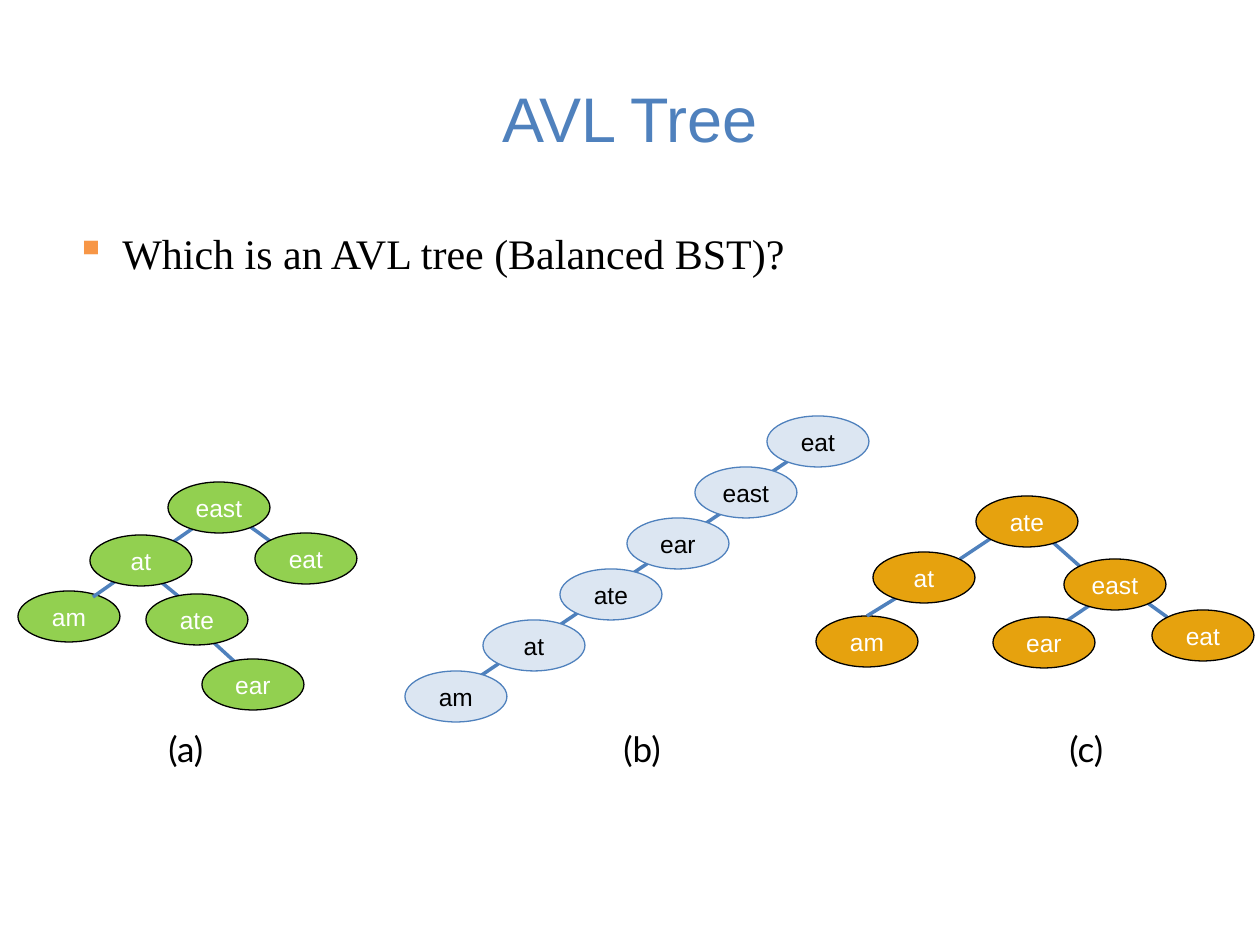
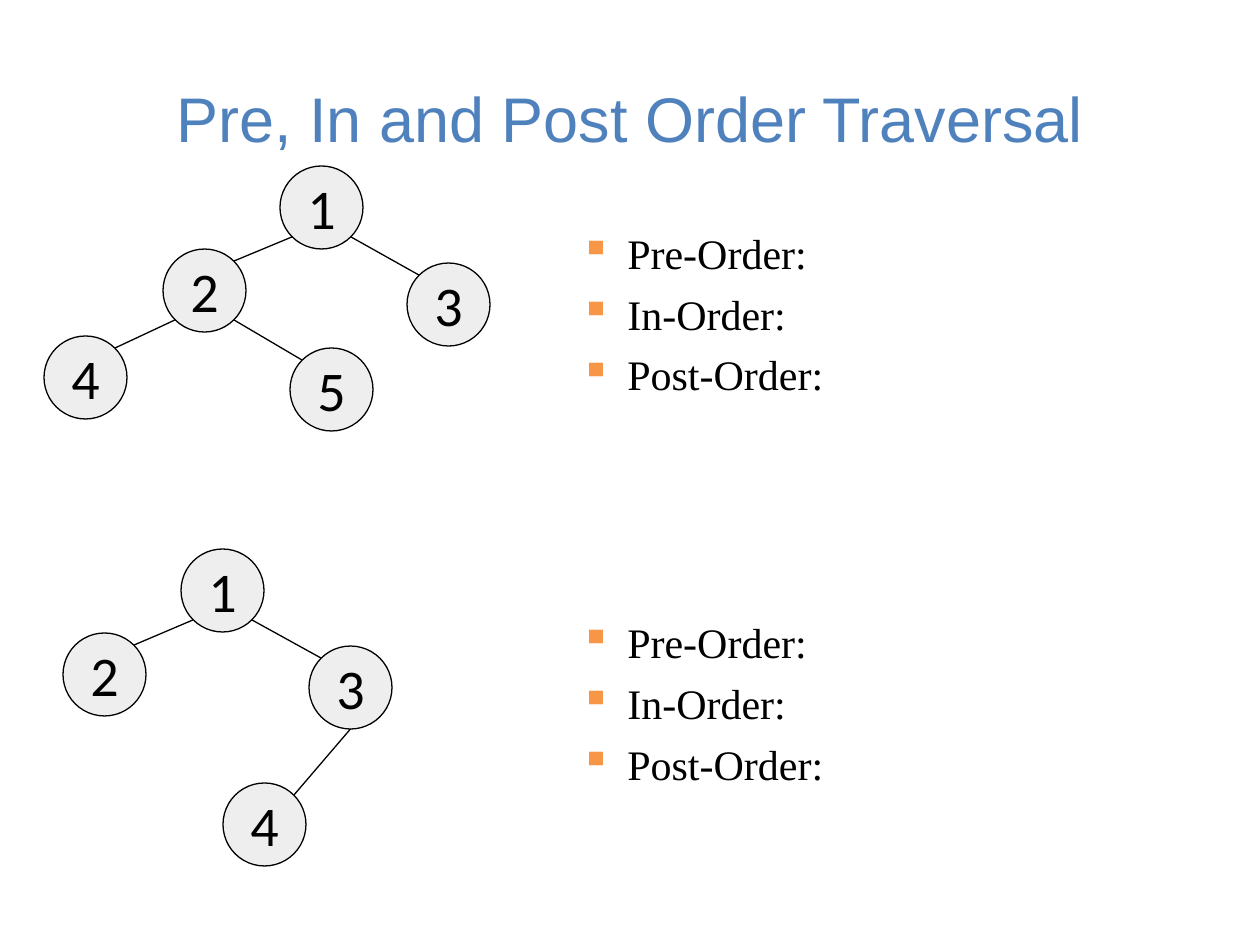
import pptx
import pptx.util
import pptx.dml.color
import pptx.enum.shapes
import pptx.enum.text
import pptx.oxml
import pptx.oxml.ns

PX = 914400 / 126
COLORS = {
    "title": "4F81BD", "bullet": "F79646", "black": "000000", "white": "FFFFFF",
    "edge": "4F81BD", "green": "92D050", "pale": "DCE6F2", "orange": "E6A20E",
    "gray": "EEEEEE",
}
TITLE_BOX = (63, 38, 1134, 158)
WORD_SIZE = (102, 51)
NUMBER_SIZE = (83, 83)
CORNER = 0.146
WORD_FONT = ("Arial", 14)
NUMBER_FONT = ("Calibri", 32)

CHAIN = [("eat", 767), ("east", 695), ("ear", 627), ("ate", 560), ("at", 483), ("am", 405)]
CHAIN_TOP = 416
CHAIN_EDGE_STARTS = [(760, 480), (693, 532), (620, 582), (548, 633), (470, 683)]

WORD_TREES = [
    {
        "caption": ("(a)", 156), "fill": "green", "line": "black", "text": "white",
        "behind_edges": ["am"],
        "nodes": {"am": (18, 591), "eat": (255, 533), "east": (168, 482),
                  "ear": (202, 659), "ate": (146, 594), "at": (90, 535)},
        "edges": [(247, 673, 212, 641), (223, 507, 270, 541), (166, 547, 202, 522),
                  (93, 597, 130, 571), (183, 600, 144, 568)],
    },
    {
        "caption": ("(b)", 611), "fill": "pale", "line": "edge", "text": "black",
        "behind_edges": [],
        "nodes": {word: (x, CHAIN_TOP + level * WORD_SIZE[1])
                  for level, (word, x) in enumerate(CHAIN)},
        "edges": [(x, y, x + 37, y - 25) for x, y in CHAIN_EDGE_STARTS],
    },
    {
        "caption": ("(c)", 1057), "fill": "orange", "line": "black", "text": "white",
        "behind_edges": ["am"],
        "nodes": {"am": (816, 616), "eat": (1152, 610), "east": (1064, 559),
                  "ear": (993, 617), "ate": (976, 496), "at": (873, 552)},
        "edges": [(1084, 570, 1048, 538), (1120, 583, 1167, 617), (1062, 624, 1099, 599),
                  (867, 616, 914, 587), (990, 539, 960, 559)],
    },
]

ORDERS = ["Pre-Order:", "In-Order:", "Post-Order:"]
NUMBER_TREES = [
    {
        "orders_top": 221,
        "nodes": {"1": (280, 166), "2": (163, 249), "3": (407, 263),
                  "4": (44, 336), "5": (290, 348)},
        "edges": [("1", "left", "2"), ("1", "right", "3"),
                  ("2", "left", "4"), ("2", "right", "5")],
    },
    {
        "orders_top": 610,
        "nodes": {"1": (181, 549), "2": (63, 633), "3": (309, 646), "4": (223, 783)},
        "edges": [("1", "left", "2"), ("1", "right", "3"), ("3", "bottom", "4")],
    },
]
EXITS = {"left": (CORNER, 1 - CORNER), "right": (1 - CORNER, 1 - CORNER), "bottom": (0.5, 1)}
ENTRIES = {"left": (1 - CORNER, CORNER), "right": (CORNER, CORNER), "bottom": (1 - CORNER, CORNER)}


def emu(*lengths):
    return [round(length * PX) for length in lengths]


def rgb(color):
    return pptx.dml.color.RGBColor.from_string(COLORS[color])


def style(paragraph, font, color):
    for run in paragraph.runs:
        run.font.name, run.font.size = font[0], pptx.util.Pt(font[1])
        run.font.color.rgb = rgb(color)


def add_text(slide, box, text, font, color, wrap=True):
    frame = slide.shapes.add_textbox(*emu(*box)).text_frame
    frame.word_wrap = wrap
    frame.text = text
    for paragraph in frame.paragraphs:
        style(paragraph, font, color)
    return frame


def add_title(slide, title):
    frame = add_text(slide, TITLE_BOX, title, ("Arial", 36), "title")
    frame.vertical_anchor = pptx.enum.text.MSO_ANCHOR.MIDDLE
    frame.paragraphs[0].alignment = pptx.enum.text.PP_ALIGN.CENTER


def add_bullets(slide, box, items):
    frame = add_text(slide, box, "\n".join(items), ("Times New Roman", 24), "black")
    for index, paragraph in enumerate(frame.paragraphs):
        if index:
            paragraph.space_before = pptx.util.Pt(6)
        properties = paragraph._p.get_or_add_pPr()
        indent = emu(47)[0]
        properties.set("marL", str(indent))
        properties.set("indent", str(-indent))
        namespace = pptx.oxml.ns.nsdecls("a")
        for xml in (
            f'<a:buClr {namespace}><a:srgbClr val="{COLORS["bullet"]}"/></a:buClr>',
            f'<a:buChar {namespace} char="▪"/>',
        ):
            properties.append(pptx.oxml.parse_xml(xml))


def add_edge(slide, points, color, width):
    edge = slide.shapes.add_connector(pptx.enum.shapes.MSO_CONNECTOR.STRAIGHT, *emu(*points))
    edge.line.color.rgb = rgb(color)
    edge.line.width = pptx.util.Pt(width)
    edge._element.spPr.append(
        pptx.oxml.parse_xml(f'<a:effectLst {pptx.oxml.ns.nsdecls("a")}/>'))


def add_node(slide, label, corner, size, fill, line, font, color):
    node = slide.shapes.add_shape(pptx.enum.shapes.MSO_SHAPE.OVAL, *emu(*corner, *size))
    node.shadow.inherit = False
    node.fill.solid()
    node.fill.fore_color.rgb = rgb(fill)
    node.line.color.rgb = rgb(line)
    node.line.width = pptx.util.Pt(0.75)
    frame = node.text_frame
    frame.word_wrap = False
    frame.vertical_anchor = pptx.enum.text.MSO_ANCHOR.MIDDLE
    frame.text = label
    frame.paragraphs[0].alignment = pptx.enum.text.PP_ALIGN.CENTER
    style(frame.paragraphs[0], font, color)


def add_word_tree(slide, tree):
    def add_words(words):
        for word in words:
            add_node(slide, word, tree["nodes"][word], WORD_SIZE,
                     tree["fill"], tree["line"], WORD_FONT, tree["text"])

    add_words(tree["behind_edges"])
    for points in tree["edges"]:
        add_edge(slide, points, "edge", 2)
    add_words(word for word in tree["nodes"] if word not in tree["behind_edges"])


def site(corner, fractions):
    return [start + length * part for start, length, part in zip(corner, NUMBER_SIZE, fractions)]


def add_number_tree(slide, tree):
    nodes = tree["nodes"]
    for number, corner in nodes.items():
        add_node(slide, number, corner, NUMBER_SIZE, "gray", "black", NUMBER_FONT, "black")
    for parent, side, child in tree["edges"]:
        points = site(nodes[parent], EXITS[side]) + site(nodes[child], ENTRIES[side])
        add_edge(slide, points, "black", 0.75)


def main():
    deck = pptx.Presentation()
    deck.slide_width, deck.slide_height = emu(1260, 945)
    blank = deck.slide_layouts[6]

    avl = deck.slides.add_slide(blank)
    add_title(avl, "AVL Tree")
    add_bullets(avl, (63, 221, 1134, 624), ["Which is an AVL tree (Balanced BST)?"])
    for tree in WORD_TREES:
        add_word_tree(avl, tree)
        caption, left = tree["caption"]
        add_text(avl, (left, 721, 67, 55), caption, ("Lato", 20), "black", wrap=False)

    traversal = deck.slides.add_slide(blank)
    add_title(traversal, "Pre, In and Post Order Traversal")
    for tree in NUMBER_TREES:
        add_number_tree(traversal, tree)
        add_bullets(traversal, (568, tree["orders_top"], 629, 252), ORDERS)

    deck.save("out.pptx")


if __name__ == "__main__":
    main()
